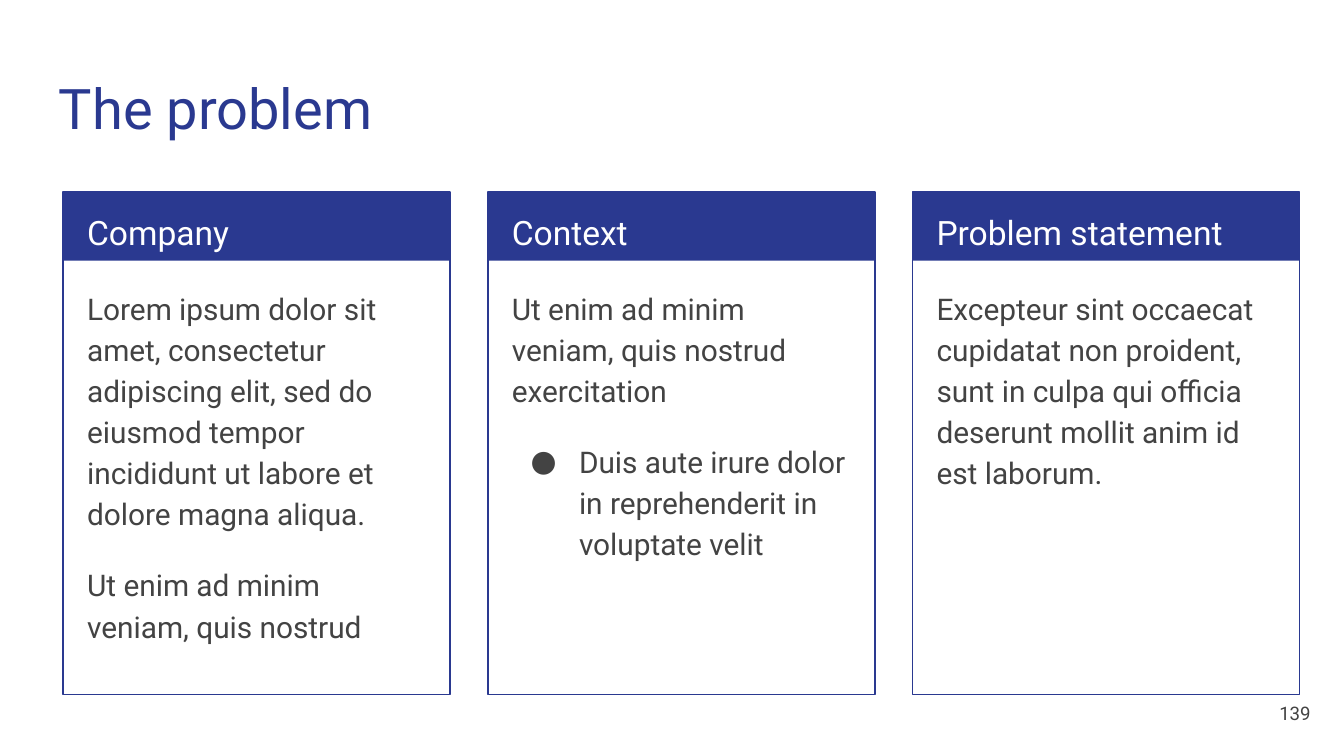
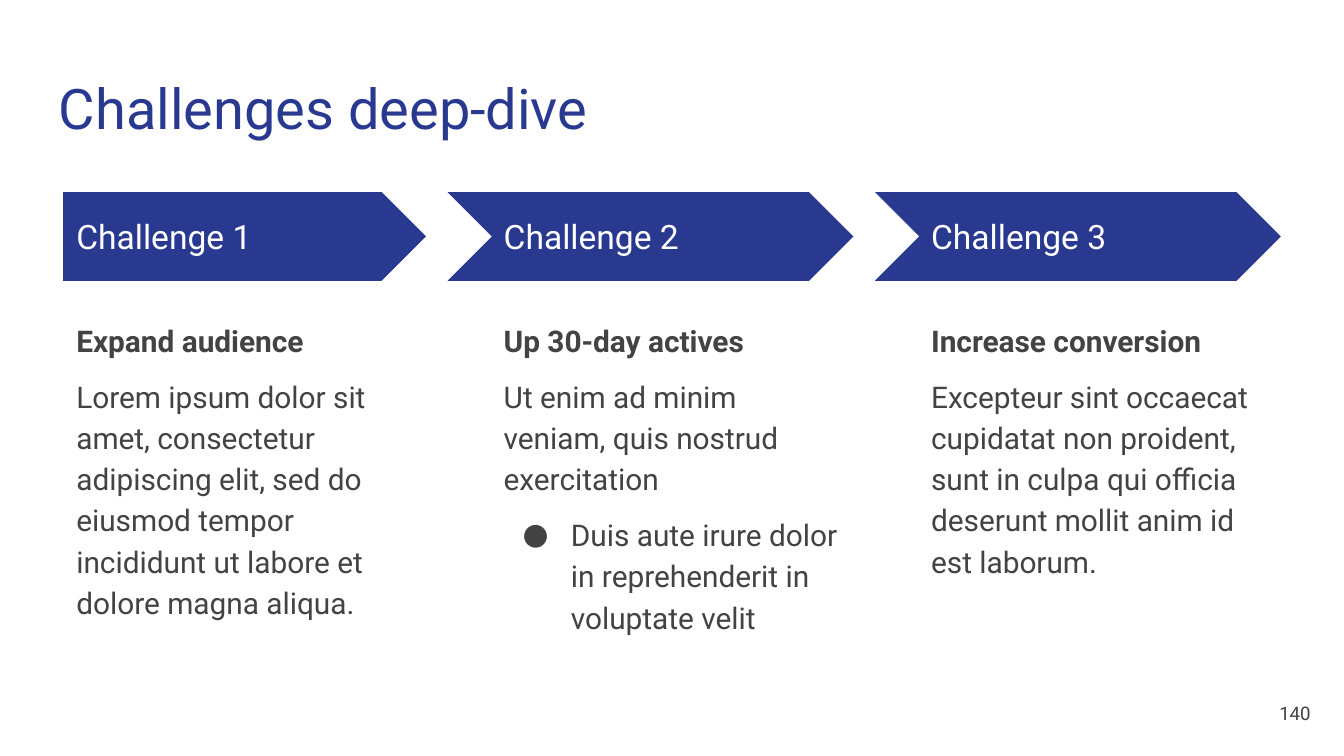
from dataclasses import dataclass

from lxml import etree
from pptx import Presentation
from pptx import util as u
from pptx.dml.color import RGBColor
from pptx.enum import shapes, text
from pptx.oxml import ns


@dataclass(frozen=True)
class Theme:
    font: str = "Roboto"
    navy: str = "2A3990"
    white: str = "FFFFFF"
    gray: str = "434343"
    title: int = 30
    heading: int = 18
    body: int = 16
    number: int = 10
    line: float = 0.75
    spacing: float = 1.15


@dataclass(frozen=True)
class Para:
    text: str
    bold: bool = False
    bullet: bool = False


def add_bullet(paragraph, color, font):
    props = paragraph._p.get_or_add_pPr()
    props.set("marL", str(u.Inches(0.5)))
    props.set("indent", str(u.Inches(-0.36)))
    bullet_color = etree.SubElement(props, ns.qn("a:buClr"))
    etree.SubElement(bullet_color, ns.qn("a:srgbClr"), val=color)
    etree.SubElement(props, ns.qn("a:buFont"), typeface=font)
    etree.SubElement(props, ns.qn("a:buChar"), char="●")


class Deck:
    def __init__(self, theme):
        self.theme = theme
        self.prs = Presentation()
        # Widescreen, 16:9
        self.prs.slide_width = u.Inches(10)
        self.prs.slide_height = u.Inches(10) * 9 // 16
        self.slide = None

    def new_slide(self, title, number):
        """Start a slide with its title and page number."""
        t = self.theme
        self.slide = self.prs.slides.add_slide(self.prs.slide_layouts[6])
        self.text((0.34, 0.45, 9.32, 0.66), [Para(title)],
                  size=t.title, color=t.navy)
        self.text((9.25, 5.09, 0.6, 0.43), [Para(str(number))], size=t.number,
                  align=text.PP_ALIGN.RIGHT, anchor=text.MSO_ANCHOR.MIDDLE)

    def text(self, at, paragraphs, size=None, color=None, spacing=1.0, gap=0,
             align=text.PP_ALIGN.LEFT, anchor=text.MSO_ANCHOR.TOP):
        t = self.theme
        color = color or t.gray
        frame = self.slide.shapes.add_textbox(*map(u.Inches, at)).text_frame
        frame.word_wrap = True
        frame.vertical_anchor = anchor
        frame.margin_left = frame.margin_right = u.Inches(0.1)
        frame.margin_top = frame.margin_bottom = u.Inches(0.1)
        for i, para in enumerate(paragraphs):
            paragraph = frame.add_paragraph() if i else frame.paragraphs[0]
            if para.bullet:
                add_bullet(paragraph, color, t.font)
            paragraph.alignment = align
            paragraph.line_spacing = spacing
            paragraph.space_before = u.Pt(gap if i else 0)
            run = paragraph.add_run()
            run.text = para.text
            run.font.name = t.font
            run.font.size = u.Pt(size or t.body)
            run.font.bold = para.bold
            run.font.color.rgb = RGBColor.from_string(color)

    def shape(self, kind, at, fill=None, line=None, parent=None):
        owner = parent or self.slide
        shape = owner.shapes.add_shape(kind, *map(u.Inches, at))
        shape.shadow.inherit = False
        if fill:
            shape.fill.solid()
            shape.fill.fore_color.rgb = RGBColor.from_string(fill)
        else:
            shape.fill.background()
        if line:
            shape.line.color.rgb = RGBColor.from_string(line)
            shape.line.width = u.Pt(self.theme.line)
        else:
            shape.line.fill.background()
        return shape

    def card(self, left, heading, body):
        """Outlined card with a filled heading band."""
        t = self.theme
        top, width = 1.43, 2.88
        card = self.slide.shapes.add_group_shape()
        rectangle = shapes.MSO_SHAPE.RECTANGLE
        self.shape(rectangle, (left, top, width, 0.51), fill=t.navy, parent=card)
        self.shape(rectangle, (left, top, width, 3.74), line=t.navy, parent=card)
        self.text((left + 0.08, top, 2.73, 0.5), [Para(heading)],
                  size=t.heading, color=t.white, spacing=t.spacing)
        self.text((left + 0.08, 2.02, 2.71, 3.06), body,
                  spacing=t.spacing, gap=16)

    def step(self, left, heading, body, first):
        """Arrow of the process with its description below."""
        t = self.theme
        top, height, notch = 1.43, 0.66, 0.32
        if first:
            kind, at = shapes.MSO_SHAPE.PENTAGON, (left, top, 2.7, height)
        else:
            kind = shapes.MSO_SHAPE.CHEVRON
            at = (left - notch, top, 2.7 + notch, height)
        arrow = self.shape(kind, at, fill=t.navy)
        arrow.adjustments[0] = 0.5
        self.text((left, 1.59, 2.47, 0.34), [Para(heading)], size=t.heading,
                  color=t.white, anchor=text.MSO_ANCHOR.MIDDLE)
        self.text((left, 2.26, 2.7, 2.9), body, spacing=t.spacing, gap=8)


# Wording used on both slides
LOREM = Para("Lorem ipsum dolor sit amet, consectetur adipiscing elit, sed do "
             "eiusmod tempor incididunt ut labore et dolore magna aliqua.")
UT_ENIM = "Ut enim ad minim veniam, quis nostrud"
EXERCITATION = Para(UT_ENIM + " exercitation")
DUIS = Para("Duis aute irure dolor in reprehenderit in voluptate velit",
            bullet=True)
EXCEPTEUR = Para("Excepteur sint occaecat cupidatat non proident, sunt in culpa "
                 "qui officia deserunt mollit anim id est laborum.")

CARDS = [
    ("Company", [LOREM, Para(UT_ENIM)]),
    ("Context", [EXERCITATION, DUIS]),
    ("Problem statement", [EXCEPTEUR]),
]
CHALLENGES = [
    ("Expand audience", [LOREM]),
    ("Up 30-day actives", [EXERCITATION, DUIS]),
    ("Increase conversion", [EXCEPTEUR]),
]
LEFT = 0.47


def main():
    deck = Deck(Theme())

    # The problem: three cards
    deck.new_slide("The problem", 139)
    for i, (heading, body) in enumerate(CARDS):
        deck.card(LEFT + i * 3.16, heading, body)

    # Challenges: three arrows in a row
    deck.new_slide("Challenges deep-dive", 140)
    for i, (goal, body) in enumerate(CHALLENGES):
        deck.step(LEFT + i * 3.18, f"Challenge {i + 1}",
                  [Para(goal, bold=True), *body], first=i == 0)

    deck.prs.save("out.pptx")


if __name__ == "__main__":
    main()
